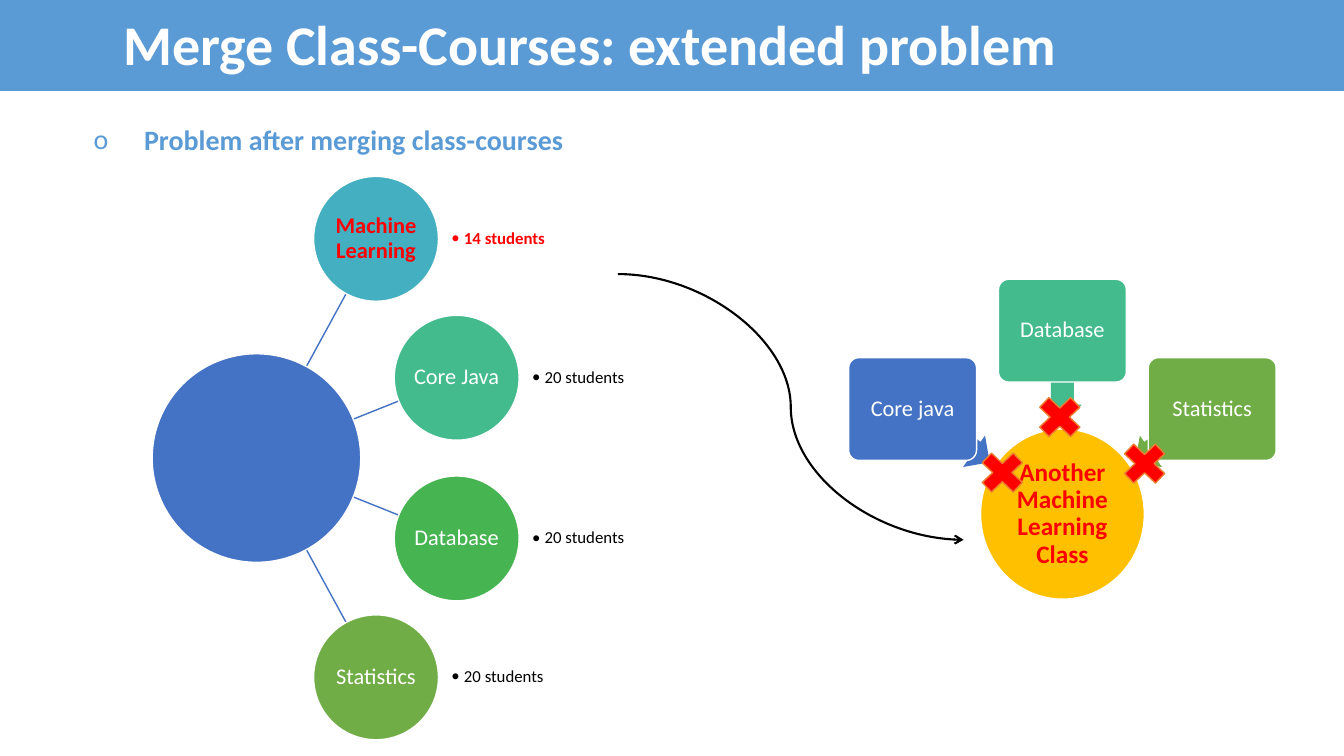
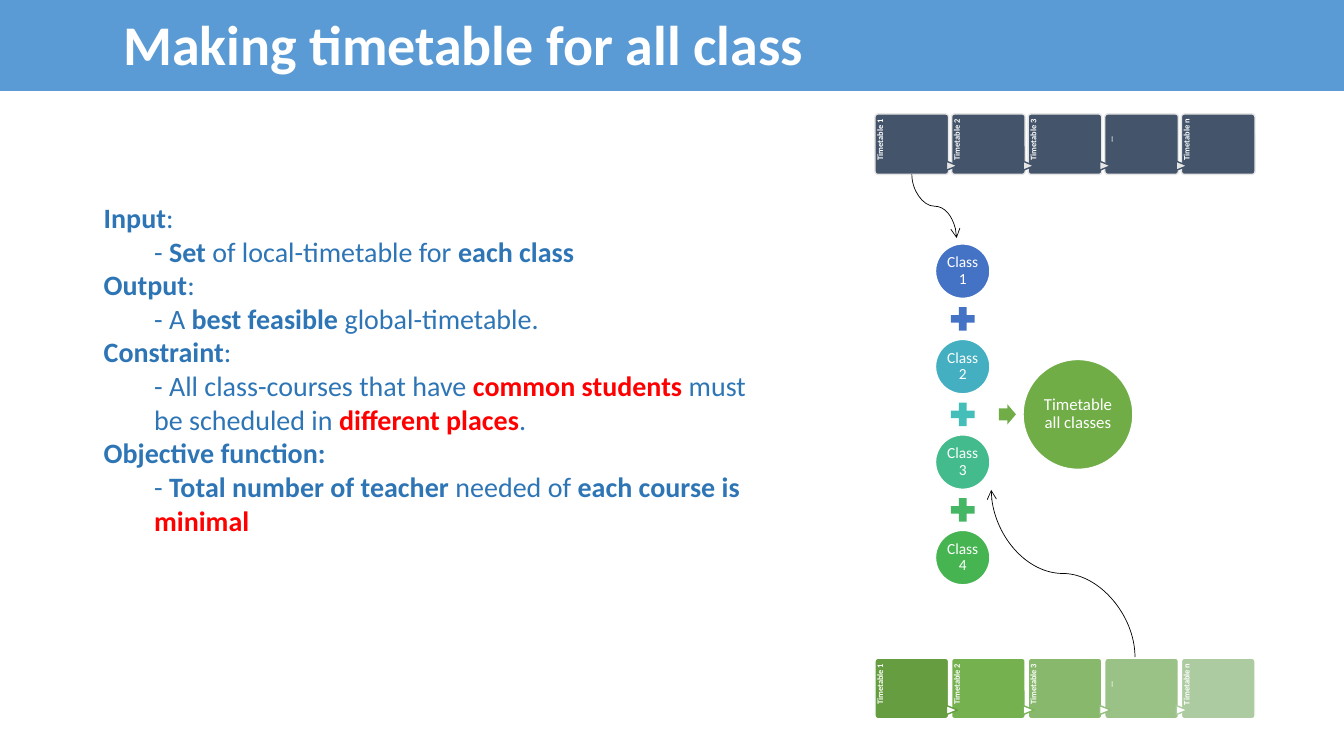
from dataclasses import dataclass
from math import hypot

from lxml.etree import SubElement
from pptx import Presentation
from pptx.dml.color import RGBColor
from pptx.enum.shapes import MSO_CONNECTOR as LINE, MSO_SHAPE as SHAPE
from pptx.enum.text import MSO_ANCHOR as ANCHOR, PP_ALIGN as ALIGN
from pptx.oxml.ns import qn
from pptx.util import Pt


@dataclass(frozen=True)
class Theme:
    font: str = "Calibri"
    # Colours
    band: str = "5B9BD5"
    body: str = "2E75B6"
    white: str = "FFFFFF"
    black: str = "000000"
    red: str = "FF0000"
    orange: str = "ED7D31"
    gold: str = "FFC000"
    blue: str = "4472C4"
    cyan: str = "43AFC0"
    turquoise: str = "43BEB9"
    teal: str = "43BB8D"
    mint: str = "45B664"
    green: str = "45B451"
    olive: str = "70AD47"
    slate: str = "44546A"
    mist: str = "E7E6E6"
    # Fading greens of the lower timetable strip
    cards: tuple = ("669D40", "75B14F", "87B86B", "9AC186", "ADCBA0")
    markers: tuple = ("669D40", "7BB459", "94BE7D", "ADCBA0")
    # Type sizes
    title: int = 40
    text: int = 20
    target: int = 18
    node: int = 16
    note: int = 12
    small: int = 11
    tiny: int = 6


T = Theme()


# --- Text -----------------------------------------------------------------

def style_run(r, size, color, bold=False):
    f = r.font
    f.name, f.size, f.bold = T.font, Pt(size), bold
    f.color.rgb = RGBColor.from_string(color)


def set_frame(tf, insets=(7.2, 3.6, 7.2, 3.6), anchor=ANCHOR.TOP):
    tf.word_wrap = True
    tf.vertical_anchor = anchor
    (tf.margin_left, tf.margin_top,
     tf.margin_right, tf.margin_bottom) = map(Pt, insets)


def set_text(sp, text, size, color, bold=False, align=ALIGN.LEFT, spacing=None):
    p = sp.text_frame.paragraphs[0]
    p.text = text
    p.alignment = align
    p.line_spacing = spacing
    for r in p.runs:
        style_run(r, size, color, bold)
    return p


def add_box(s, x, y, w, h, **frame):
    sp = s.shapes.add_textbox(Pt(x), Pt(y), Pt(w), Pt(h))
    set_frame(sp.text_frame, **frame)
    return sp


def set_bullet(p, char, indent):
    pPr = p._p.get_or_add_pPr()
    pPr.set("marL", str(Pt(indent)))
    pPr.set("indent", str(-Pt(indent)))
    SubElement(pPr, qn("a:buFont"), typeface=T.font)
    SubElement(pPr, qn("a:buChar"), char=char)


# --- Shapes and lines -----------------------------------------------------

def add_shape(s, kind, cx, cy, w, h, fill, line=None, rot=0, adj=()):
    """Place a preset shape by its centre."""
    sp = s.shapes.add_shape(kind, Pt(cx - w / 2), Pt(cy - h / 2), Pt(w), Pt(h))
    sp.shadow.inherit = False
    sp.rotation = rot
    for i, value in enumerate(adj):
        sp.adjustments[i] = value
    sp.fill.solid()
    sp.fill.fore_color.rgb = RGBColor.from_string(fill)
    if line:
        sp.line.color.rgb = RGBColor.from_string(line)
        sp.line.width = Pt(1)
    else:
        sp.line.fill.background()
    return sp


def add_node(s, kind, cx, cy, w, h, fill, text, size,
             color=T.white, bold=False, adj=()):
    """White-rimmed shape with a centred label."""
    sp = add_shape(s, kind, cx, cy, w, h, fill, T.white, adj=adj)
    set_frame(sp.text_frame, (1, 1, 1, 1), ANCHOR.MIDDLE)
    set_text(sp, text, size, color, bold, ALIGN.CENTER, 0.9)


def add_line(s, kind, start, end, color, width, arrow=False):
    c = s.shapes.add_connector(kind, *map(Pt, (*start, *end)))
    c.line.color.rgb = RGBColor.from_string(color)
    c.line.width = Pt(width)
    if arrow:
        SubElement(c.line._get_or_add_ln(), qn("a:tailEnd"), type="arrow")
    SubElement(c._element.spPr, qn("a:effectLst"))
    return c


def add_upright_curve(s, start, end):
    """Curved arrow that leaves and arrives vertically: a quarter turn."""
    (x1, y1), (x2, y2) = start, end
    cx, cy = (x1 + x2) / 2, (y1 + y2) / 2
    du, dv = (y1 - y2) / 2, (x2 - x1) / 2
    c = add_line(s, LINE.CURVE, (cx - du, cy - dv), (cx + du, cy + dv),
                 T.black, 0.5, arrow=True)
    c._element.spPr.find(qn("a:xfrm")).set("rot", str(270 * 60000))


# --- Slide parts ----------------------------------------------------------

def add_slide(prs, title):
    s = prs.slides.add_slide(prs.slide_layouts[6])
    band = add_shape(s, SHAPE.RIGHT_ARROW, 529.5, 31, 1059, 135.4, T.band)
    set_frame(band.text_frame, (88, 3.6, 7.2, 3.6), ANCHOR.MIDDLE)
    set_text(band, title, T.title, T.white, bold=True)
    return s


def add_courses(s):
    """Hub with four courses around it."""
    hub_x, hub_y, hub_r, r = 183.2, 327.2, 74.5, 44.6
    courses = (
        ("Machine Learning", "14 students", 85.4, -156.6, T.cyan, True),
        ("Core Java", "20 students", 143, -57.4, T.teal, False),
        ("Database", "20 students", 143, 57.4, T.green, False),
        ("Statistics", "20 students", 85.4, 156.6, T.olive, False),
    )
    for name, count, dx, dy, fill, marked in courses:
        x, y, dist = hub_x + dx, hub_y + dy, hypot(dx, dy)
        near, far = hub_r / dist, 1 - r / dist
        add_line(s, LINE.STRAIGHT, (hub_x + dx * near, hub_y + dy * near),
                 (hub_x + dx * far, hub_y + dy * far), T.blue, 1)
        add_node(s, SHAPE.OVAL, x, y, 2 * r, 2 * r, fill, name, T.node,
                 T.red if marked else T.white, marked)
        note = add_box(s, x + r + 9.2, y - r, 134, 2 * r,
                       insets=(0, 0, 0, 0), anchor=ANCHOR.MIDDLE)
        p = set_text(note, count, T.note, T.red if marked else T.black,
                     marked, spacing=0.9)
        set_bullet(p, "•", 9)
    add_shape(s, SHAPE.OVAL, hub_x, hub_y, 2 * hub_r, 2 * hub_r, T.blue, T.white)


def add_blocked_merge(s):
    """Three courses that cannot join the new class."""
    x, y = 758.9, 367.2
    add_node(s, SHAPE.OVAL, x, y, 117, 121.6, T.gold,
             "Another Machine Learning Class", T.target, T.red, True)
    # name, fill, box offset, arrow offset, arrow turn
    sources = (
        ("Core java", T.blue, (-107, -75), (-79.4, -56.2), 214.9),
        ("Database", T.teal, (0, -131), (0, -98), 270),
        ("Statistics", T.olive, (107, -75), (79.4, -56.2), 324.9),
    )
    for name, fill, (bx, by), (ax, ay), turn in sources:
        add_shape(s, SHAPE.LEFT_ARROW, x + ax, y + ay, 67, 27.4, fill,
                  rot=turn, adj=(0.6, 0.5))
        add_node(s, SHAPE.ROUNDED_RECTANGLE, x + bx, y + by, 91.4, 73.4, fill,
                 name, T.node, adj=(0.1,))
    add_line(s, LINE.CURVE, (441.4, 195.8), (688.3, 385.6), T.black, 1.5, True)
    for cx, cy in ((716, 337.6), (757, 298), (817.6, 331.2)):
        add_shape(s, SHAPE.MATH_MULTIPLY, cx, cy, 42.5, 40.3, T.red, T.orange)


def add_problem_text(s):
    """Problem statement; b is bold, r is bold red."""
    lines = (
        (0, ("Input", "b"), (":", "")),
        (1, ("- ", ""), ("Set ", "b"), ("of local-timetable for ", ""),
         ("each class", "b")),
        (0, ("Output", "b"), (":", "")),
        (1, ("- A ", ""), ("best feasible", "b"), (" global-timetable.", "")),
        (0, ("Constraint", "b"), (":", "")),
        (1, ("- All class-courses that have ", ""), ("common students", "r"),
         (" must be scheduled in ", ""), ("different places", "r"), (".", "")),
        (0, ("Objective function:", "b")),
        (1, ("- ", ""), ("Total number of teacher", "b"), (" needed of ", ""),
         ("each course is ", "b"), ("minimal", "r")),
    )
    tf = add_box(s, 67, 139.7, 490.3, 273.6).text_frame
    for i, (level, *runs) in enumerate(lines):
        p = tf.add_paragraph() if i else tf.paragraphs[0]
        p.level = level
        p._p.get_or_add_pPr().set("marL", str(Pt(36 * level)))
        for text, mark in runs:
            r = p.add_run()
            r.text = text
            style_run(r, T.text, T.red if mark == "r" else T.body, bool(mark))


def add_class_sum(s):
    """Column of classes added up into one timetable."""
    x, top, pitch, size = 687.7, 193.7, 68.2, 38.9
    for i, fill in enumerate((T.blue, T.cyan, T.teal, T.green)):
        add_node(s, SHAPE.OVAL, x, top + i * pitch, size, size, fill,
                 f"Class {i + 1}", T.small)
    for i, fill in enumerate((T.blue, T.turquoise, T.mint)):
        add_shape(s, SHAPE.MATH_PLUS, x, top + (i + 0.5) * pitch, 23, 23, fill)
    mid = top + 1.5 * pitch
    add_shape(s, SHAPE.RIGHT_ARROW, 719.6, mid, 12.2, 14.4, T.olive,
              adj=(0.6, 0.5))
    add_node(s, SHAPE.OVAL, 770, mid, 78.5, 78.5, T.olive,
             "Timetable all classes", T.note)


def add_timetables(s, top, fills, rim, marker_lines):
    """Strip of timetable cards with a marker between neighbours."""
    left, pitch, w, h = 625, 54.72, 52.6, 43.2
    names = ("Timetable 1", "Timetable 2", "Timetable 3", "…", "Timetable n")
    for i, (name, fill) in enumerate(zip(names, fills)):
        x = left + i * pitch
        add_shape(s, SHAPE.ROUNDED_RECTANGLE, x + w / 2, top + h / 2, w, h,
                  fill, rim, adj=(0.05,))
        label = add_box(s, x - 13, top + 12.2, 35.3, 10.8,
                        insets=(0, 1.4, 2, 0))
        label.rotation = 270
        set_text(label, name, T.tiny, T.white, True, ALIGN.CENTER, 0.9)
        if i:
            add_shape(s, SHAPE.FLOWCHART_EXTRACT, x + 0.3, top + 37, 6.5, 7.9,
                      rim, marker_lines[i - 1], rot=90)


def main():
    prs = Presentation()
    prs.slide_width, prs.slide_height = Pt(960), Pt(540)

    # Slide 1: the extended problem
    s = add_slide(prs, "Merge Class-Courses: extended problem")
    heading = add_box(s, 59.8, 84.2, 490.3, 31.7)
    p = set_text(heading, "Problem after merging class-courses",
                 T.text, T.band, bold=True)
    set_bullet(p, "o", 36)
    add_courses(s)
    add_blocked_merge(s)

    # Slide 2: the timetable
    s = add_slide(prs, "Making timetable for all class")
    add_problem_text(s)
    add_class_sum(s)
    add_timetables(s, 81.4, (T.slate,) * 5, T.mist, (T.slate,) * 4)
    add_timetables(s, 470.2, T.cards, T.white, T.markers)
    add_upright_curve(s, (651.3, 124.6), (683.3, 170))
    add_upright_curve(s, (810.7, 469.4), (708, 350))

    prs.save("out.pptx")


if __name__ == "__main__":
    main()
